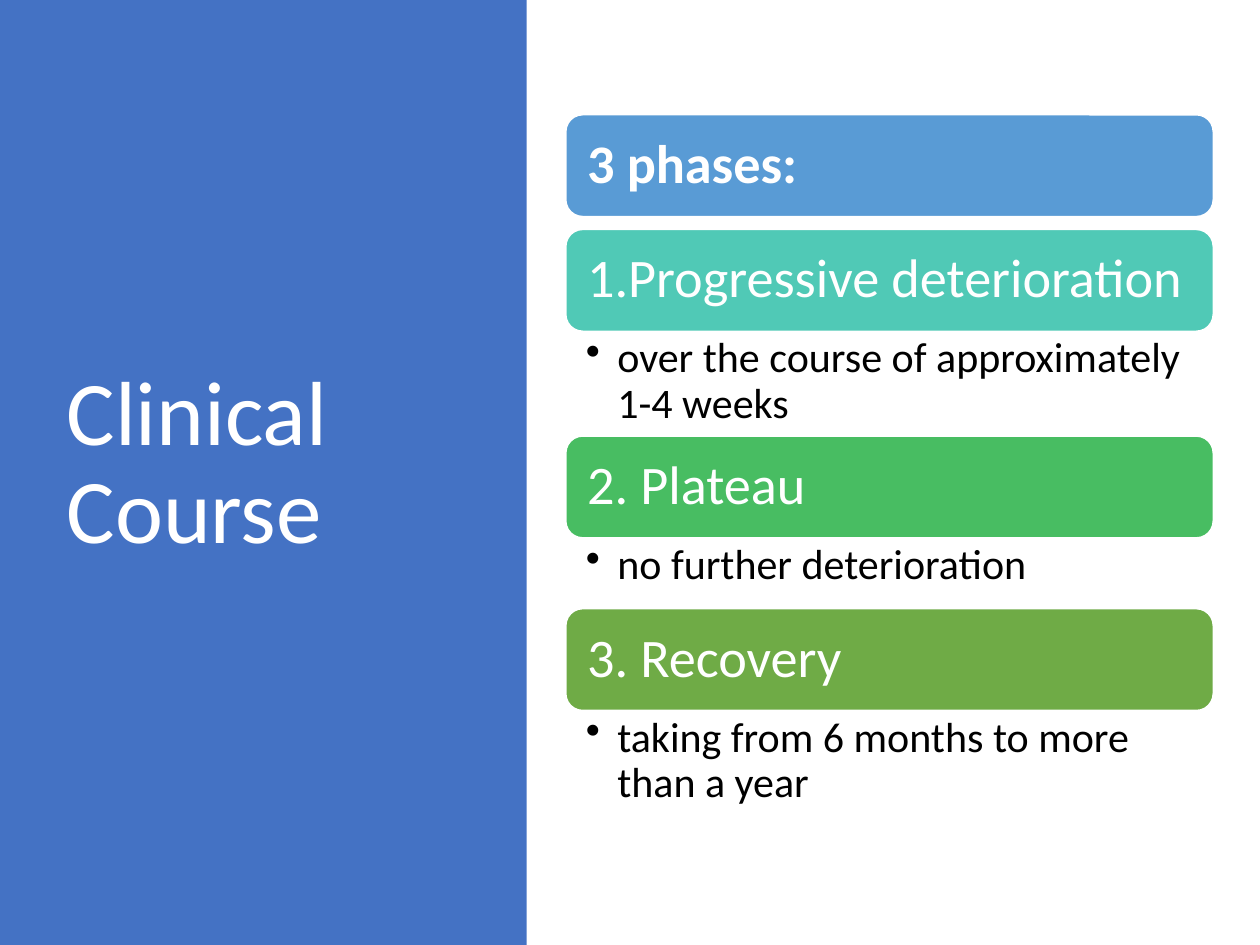
"""Build the Clinical Course slide: a title panel beside a stack of phases."""
from dataclasses import dataclass

from lxml import etree
from pptx import Presentation
from pptx import util as u
from pptx.dml.color import RGBColor
from pptx.enum import shapes, text
from pptx.oxml.ns import qn


@dataclass(frozen=True)
class Theme:
    """Colours, font and type sizes of the slide."""
    panel: str = "4472C4"
    light: str = "FFFFFF"
    dark: str = "000000"
    font: str = "Calibri"
    title: int = 52
    heading: int = 31
    detail: int = 24


THEME = Theme()
WIDTH, HEIGHT = 10, 7.5
PANEL_SHARE = 0.418
STACK_LEFT, STACK_TOP, STACK_WIDTH = 4.49, 0.91, 5.14
BAR_HEIGHT, BAR_GAP = 0.81, 0.1

PHASES = [
    ("3 phases:", "599BD5", None, BAR_GAP),
    ("1.Progressive deterioration", "50C9B6",
     "over the course of approximately 1-4 weeks\u00a0", 0.83),
    ("2. Plateau", "48BD62", "no further deterioration", 0.56),
    ("3. Recovery", "6FAB46", "taking from 6 months to more than a year", 0.82),
]


def write(box, words, size, color, insets, anchor=text.MSO_ANCHOR.MIDDLE):
    """Set the only paragraph of a box and return it."""
    frame = box.text_frame
    frame.word_wrap = True
    frame.vertical_anchor = anchor
    (frame.margin_left, frame.margin_top,
     frame.margin_right, frame.margin_bottom) = map(u.Inches, insets)
    para = frame.paragraphs[0]
    para.text = words
    para.alignment = text.PP_ALIGN.LEFT
    para.line_spacing = 0.9
    para.font.name = THEME.font
    para.font.size = u.Pt(size)
    para.font.color.rgb = RGBColor.from_string(color)
    return para


def add_block(page, kind, area, fill):
    """Add a flat filled shape without an outline."""
    block = page.shapes.add_shape(kind, *map(u.Inches, area))
    block.shadow.inherit = False
    block.fill.solid()
    block.fill.fore_color.rgb = RGBColor.from_string(fill)
    block.line.fill.background()
    return block


def add_title(page, words):
    """Add the coloured panel and the title on it."""
    add_block(page, shapes.MSO_SHAPE.RECTANGLE,
              (0, 0, WIDTH * PANEL_SHARE, HEIGHT), THEME.panel)
    box = page.shapes.add_textbox(*map(u.Inches, (0.43, 0.68, 3.12, 6.02)))
    write(box, words, THEME.title, THEME.light, (0.1, 0.05, 0.1, 0.05))


def add_heading(page, top, words, fill):
    """Add a rounded bar holding a heading."""
    bar = add_block(page, shapes.MSO_SHAPE.ROUNDED_RECTANGLE,
                    (STACK_LEFT, top, STACK_WIDTH, BAR_HEIGHT), fill)
    bar.line.color.rgb = RGBColor.from_string(THEME.light)
    bar.line.width = u.Pt(1)
    return write(bar, words, THEME.heading, THEME.light, (0.13,) * 4)


def add_detail(page, top, height, words):
    """Add the bulleted text below a heading."""
    box = page.shapes.add_textbox(
        *map(u.Inches, (STACK_LEFT, top, STACK_WIDTH, height)))
    para = write(box, words, THEME.detail, THEME.dark,
                 (0.16, 0.04, 0.24, 0.04), text.MSO_ANCHOR.TOP)
    para.level = 1
    props = para._p.get_or_add_pPr()
    props.set("marL", str(u.Inches(0.25)))
    props.set("indent", str(-u.Inches(0.25)))
    bullet = etree.Element(qn("a:buChar"), char="•")
    props.find(qn("a:lnSpc")).addnext(bullet)


def add_phases(page):
    """Stack the headings and their details from top to bottom."""
    top = STACK_TOP
    for heading, fill, detail, space in PHASES:
        para = add_heading(page, top, heading, fill)
        para.font.bold = detail is None
        top += BAR_HEIGHT
        if detail:
            add_detail(page, top, space, detail)
        top += space


def main():
    """Build and save the deck."""
    deck = Presentation()
    deck.slide_width, deck.slide_height = u.Inches(WIDTH), u.Inches(HEIGHT)
    page = deck.slides.add_slide(deck.slide_layouts[6])
    add_title(page, "Clinical Course")
    add_phases(page)
    deck.save("out.pptx")


if __name__ == "__main__":
    main()
